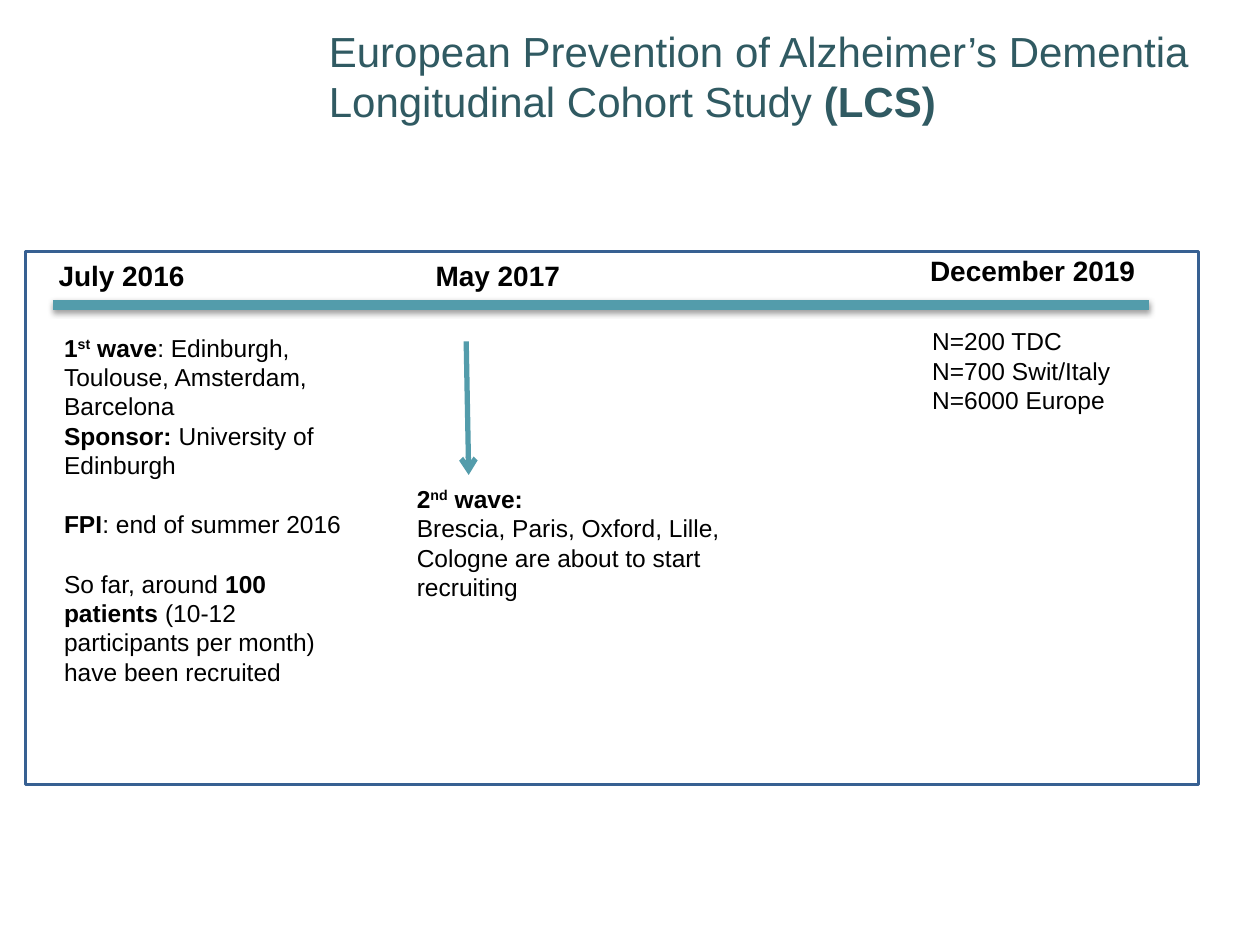
from lxml import etree
from pptx import Presentation
from pptx.dml.color import RGBColor
from pptx.enum import shapes, text
from pptx.oxml import ns
from pptx.util import Inches, Pt

BLACK = "000000"
TEAL = "539CAB"
DARK_TEAL = "305A62"
BLUE = "376092"
BOLD, RAISED = "bold", "raised"


def rgb(value):
    return RGBColor.from_string(value)


def place(shape, left, top, width, height):
    shape.left, shape.top = Inches(left), Inches(top)
    shape.width, shape.height = Inches(width), Inches(height)


def write_paragraph(paragraph, pieces, size, color):
    for words, *styles in pieces:
        run = paragraph.add_run()
        run.text = words
        run.font.name = "Arial"
        run.font.size = Pt(size)
        run.font.color.rgb = rgb(color)
        run.font.bold = BOLD in styles
        if RAISED in styles:
            run.font._element.set("baseline", "30000")


def add_title(slide, pieces):
    title = slide.shapes.title
    place(title, 2.51, 0.12, 7.38, 0.96)
    frame = title.text_frame
    frame.auto_size = text.MSO_AUTO_SIZE.NONE
    frame.vertical_anchor = text.MSO_ANCHOR.MIDDLE
    frame.paragraphs[0].alignment = text.PP_ALIGN.LEFT
    write_paragraph(frame.paragraphs[0], pieces, 24, DARK_TEAL)


def add_text(slide, box, paragraphs, size=14, align=text.PP_ALIGN.LEFT, wrap=True):
    frame = slide.shapes.add_textbox(*map(Inches, box)).text_frame
    frame.word_wrap = wrap
    frame.auto_size = text.MSO_AUTO_SIZE.SHAPE_TO_FIT_TEXT
    for index, pieces in enumerate(paragraphs):
        paragraph = frame.paragraphs[0] if index == 0 else frame.add_paragraph()
        paragraph.alignment = align
        write_paragraph(paragraph, pieces, size, BLACK)
    return frame


def add_date(slide, box, date, align=text.PP_ALIGN.CENTER, wrap=True):
    add_text(slide, box, [[(date, BOLD)]], 16, align, wrap)


def add_frame(slide, box):
    frame = slide.shapes.add_shape(shapes.MSO_SHAPE.RECTANGLE, *map(Inches, box))
    frame.shadow.inherit = False
    frame.fill.background()
    frame.line.color.rgb = rgb(BLUE)
    frame.line.width = Pt(1.75)


def add_line(slide, ends, width):
    line = slide.shapes.add_connector(shapes.MSO_CONNECTOR.STRAIGHT, *map(Inches, ends))
    line.line.color.rgb = rgb(TEAL)
    line.line.width = Pt(width)
    effects = etree.SubElement(line._element.spPr, ns.qn("a:effectLst"))
    return line, effects


def add_timeline(slide, ends):
    _, effects = add_line(slide, ends, 6)
    shadow = etree.SubElement(
        effects, ns.qn("a:outerShdw"), blurRad=str(Pt(3.1)), dist=str(Pt(1.6)),
        dir="5400000", rotWithShape="0")
    color = etree.SubElement(shadow, ns.qn("a:srgbClr"), val=BLACK)
    etree.SubElement(color, ns.qn("a:alpha"), val="38000")


def add_arrow(slide, ends):
    arrow, _ = add_line(slide, ends, 3)
    etree.SubElement(arrow.line._get_or_add_ln(), ns.qn("a:tailEnd"), type="arrow")


def main():
    deck = Presentation()
    deck.slide_width, deck.slide_height = Inches(10), Inches(7.5)
    slide = deck.slides.add_slide(deck.slide_layouts[5])

    add_title(slide, [
        ("European Prevention of Alzheimer’s Dementia Longitudinal Cohort Study ",),
        ("(LCS)", BOLD)])
    add_frame(slide, (0.2, 2, 9.31, 4.23))
    add_timeline(slide, (0.42, 2.42, 9.12, 2.42))

    add_date(slide, (0.2, 2, 1.53, 0.37), "July 2016")
    add_date(slide, (3.36, 2, 1.2, 0.37), "May 2017", text.PP_ALIGN.LEFT, False)
    add_date(slide, (7.09, 1.96, 2.21, 0.37), "December 2019")

    first_wave = add_text(slide, (0.41, 2.59, 2.51, 3.16), [
        [("1", BOLD), ("st", BOLD, RAISED), (" wave", BOLD),
         (": Edinburgh, Toulouse, Amsterdam, Barcelona",)],
        [("Sponsor:", BOLD), (" University of Edinburgh",)],
        [("FPI", BOLD), (": end of summer 2016",)],
        [("So far, around ",), ("100 patients ", BOLD),
         ("(10-12 participants per month) have been recruited",)]])
    for paragraph in first_wave.paragraphs[2:]:
        paragraph.space_before = Pt(17)

    add_arrow(slide, (3.7, 2.71, 3.72, 3.77))
    add_text(slide, (3.21, 3.79, 3.16, 1.04), [
        [("2", BOLD), ("nd", BOLD, RAISED), (" wave:", BOLD)],
        [("Brescia, Paris, Oxford, Lille, Cologne are about to start recruiting",)]])
    add_text(slide, (7.3, 2.54, 1.9, 0.81), [
        [("N=200 TDC",)], [("N=700 Swit/Italy",)], [("N=6000 Europe",)]])

    deck.save("out.pptx")


if __name__ == "__main__":
    main()
